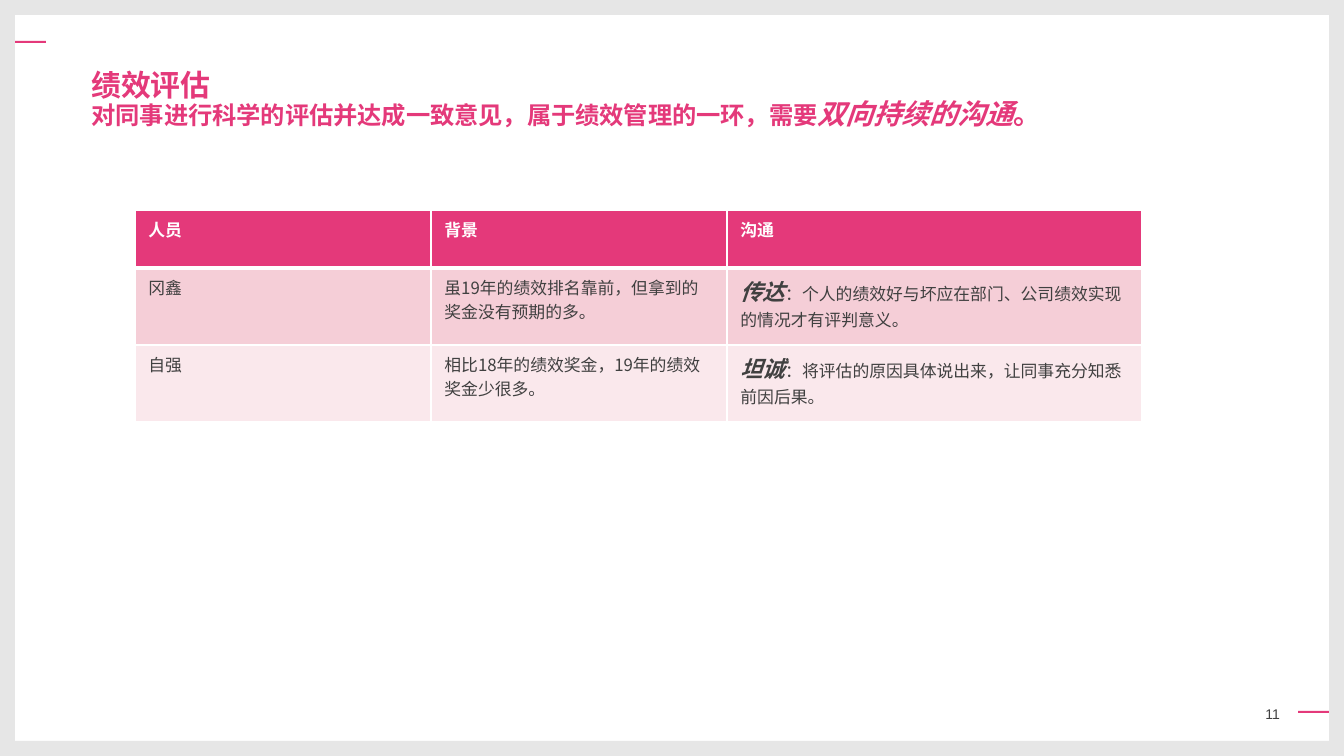
from dataclasses import dataclass

from lxml.etree import SubElement
from pptx import Presentation
from pptx.dml.color import RGBColor
from pptx.enum.shapes import MSO_SHAPE
from pptx.enum.text import MSO_ANCHOR, MSO_AUTO_SIZE, PP_ALIGN
from pptx.oxml.ns import qn
from pptx.util import Emu, Pt

EMU_PER_PX = 914400 / 134.4
WIDTH, HEIGHT = 1344, 756
EDGE = 15
MARK_WIDTH = 46
CJK = "Noto Sans CJK SC"
COLORS = {
    "accent": "E4397A",
    "frame": "E6E6E6",
    "text": "404040",
    "white": "FFFFFF",
    "row_dark": "F5CED7",
    "row_light": "FAE8EC",
}


@dataclass
class Bar:
    left: int
    top: int
    width: int
    height: int
    color: str


@dataclass
class Span:
    text: str
    size: float
    color: str = "text"
    bold: bool = False
    italic: bool = False
    font: str = CJK


@dataclass
class Row:
    height: int
    fill: str
    cells: list[list[Span]]


def heading(text: str) -> list[Span]:
    return [Span(text, 9, "white", bold=True)]


def body(text: str, keyword: str = "") -> list[Span]:
    """Plain cell text, optionally led by an emphasised keyword."""
    lead = [Span(keyword, 12, bold=True, italic=True)] if keyword else []
    return lead + [Span(text, 9)]


BARS = [
    Bar(0, 41, MARK_WIDTH, 2, "accent"),
    Bar(WIDTH - MARK_WIDTH, 711, MARK_WIDTH, 2, "accent"),
    Bar(0, 0, EDGE, HEIGHT, "frame"),
    Bar(WIDTH - EDGE, 0, EDGE, HEIGHT, "frame"),
    Bar(0, 0, WIDTH, EDGE, "frame"),
    Bar(0, HEIGHT - EDGE, WIDTH, EDGE, "frame"),
]
TITLE = [
    [Span("绩效评估", 16, "accent", bold=True)],
    [
        Span("对同事进行科学的评估并达成一致意见，属于绩效管理的一环，需要", 13, "accent", bold=True),
        Span("双向持续的沟通", 15, "accent", bold=True, italic=True),
        Span("。", 15, "accent", bold=True),
    ],
]
COLUMN_WIDTHS = [296, 296, 415]
ROWS = [
    Row(58, "accent", [heading("人员"), heading("背景"), heading("沟通")]),
    Row(77, "row_dark", [
        body("冈鑫"),
        body("虽19年的绩效排名靠前，但拿到的奖金没有预期的多。"),
        body("：个人的绩效好与坏应在部门、公司绩效实现的情况才有评判意义。", "传达"),
    ]),
    Row(77, "row_light", [
        body("自强"),
        body("相比18年的绩效奖金，19年的绩效奖金少很多。"),
        body("：将评估的原因具体说出来，让同事充分知悉前因后果。", "坦诚"),
    ]),
]


def px(value: int) -> Emu:
    return Emu(round(value * EMU_PER_PX))


def rgb(name: str) -> RGBColor:
    return RGBColor.from_string(COLORS[name])


def write_spans(paragraph, spans: list[Span]) -> None:
    for span in spans:
        run = paragraph.add_run()
        run.text = span.text
        font = run.font
        font.name, font.size = span.font, Pt(span.size)
        font.bold, font.italic = span.bold, span.italic
        font.color.rgb = rgb(span.color)
        SubElement(run._r.get_or_add_rPr(), qn("a:ea"), typeface=span.font)


def draw_bar(slide, bar: Bar) -> None:
    shape = slide.shapes.add_shape(
        MSO_SHAPE.RECTANGLE, px(bar.left), px(bar.top), px(bar.width), px(bar.height)
    )
    shape.shadow.inherit = False
    shape.fill.solid()
    shape.fill.fore_color.rgb = rgb(bar.color)
    shape.line.fill.background()


def draw_title(slide) -> None:
    title = slide.shapes.title
    title.left, title.top, title.width, title.height = px(78), px(65), px(988), px(83)
    frame = title.text_frame
    frame.word_wrap = True
    frame.auto_size = MSO_AUTO_SIZE.NONE
    frame.vertical_anchor = MSO_ANCHOR.TOP
    for index, spans in enumerate(TITLE):
        paragraph = frame.add_paragraph() if index else frame.paragraphs[0]
        paragraph.alignment = PP_ALIGN.LEFT
        paragraph.line_spacing = 0.85
        paragraph.space_before = Pt(0)
        write_spans(paragraph, spans)


def draw_page_number(slide) -> None:
    box = slide.shapes.add_textbox(px(1244), px(694), px(36), px(39))
    frame = box.text_frame
    frame.word_wrap = True
    frame.margin_left = frame.margin_right = 0
    frame.vertical_anchor = MSO_ANCHOR.MIDDLE
    frame.paragraphs[0].alignment = PP_ALIGN.RIGHT
    write_spans(frame.paragraphs[0], [Span("11", 7.5, font="Arial")])


def set_borders(cell, widths: dict[str, int]) -> None:
    """White borders; widths in points, keyed L, R, T, B in schema order."""
    properties = cell._tc.get_or_add_tcPr()
    for side, width in widths.items():
        line = SubElement(properties, qn(f"a:ln{side}"), w=str(Pt(width)))
        fill = SubElement(line, qn("a:solidFill"))
        SubElement(fill, qn("a:srgbClr"), val=COLORS["white"])


def draw_table(slide) -> None:
    table = slide.shapes.add_table(
        len(ROWS), len(COLUMN_WIDTHS), px(135), px(210),
        px(sum(COLUMN_WIDTHS)), px(sum(row.height for row in ROWS)),
    ).table
    for column, width in zip(table.columns, COLUMN_WIDTHS):
        column.width = px(width)
    for row_index, row in enumerate(ROWS):
        table.rows[row_index].height = px(row.height)
        top = 3 if row_index == 1 else 1
        bottom = 3 if row_index == 0 else 1
        for column_index, spans in enumerate(row.cells):
            cell = table.cell(row_index, column_index)
            set_borders(cell, {"L": 1, "R": 1, "T": top, "B": bottom})
            cell.fill.solid()
            cell.fill.fore_color.rgb = rgb(row.fill)
            write_spans(cell.text_frame.paragraphs[0], spans)


def main() -> None:
    presentation = Presentation()
    presentation.slide_width, presentation.slide_height = px(WIDTH), px(HEIGHT)
    slide = presentation.slides.add_slide(presentation.slide_layouts[5])
    for bar in BARS:
        draw_bar(slide, bar)
    draw_page_number(slide)
    draw_title(slide)
    draw_table(slide)
    presentation.save("out.pptx")


if __name__ == "__main__":
    main()
